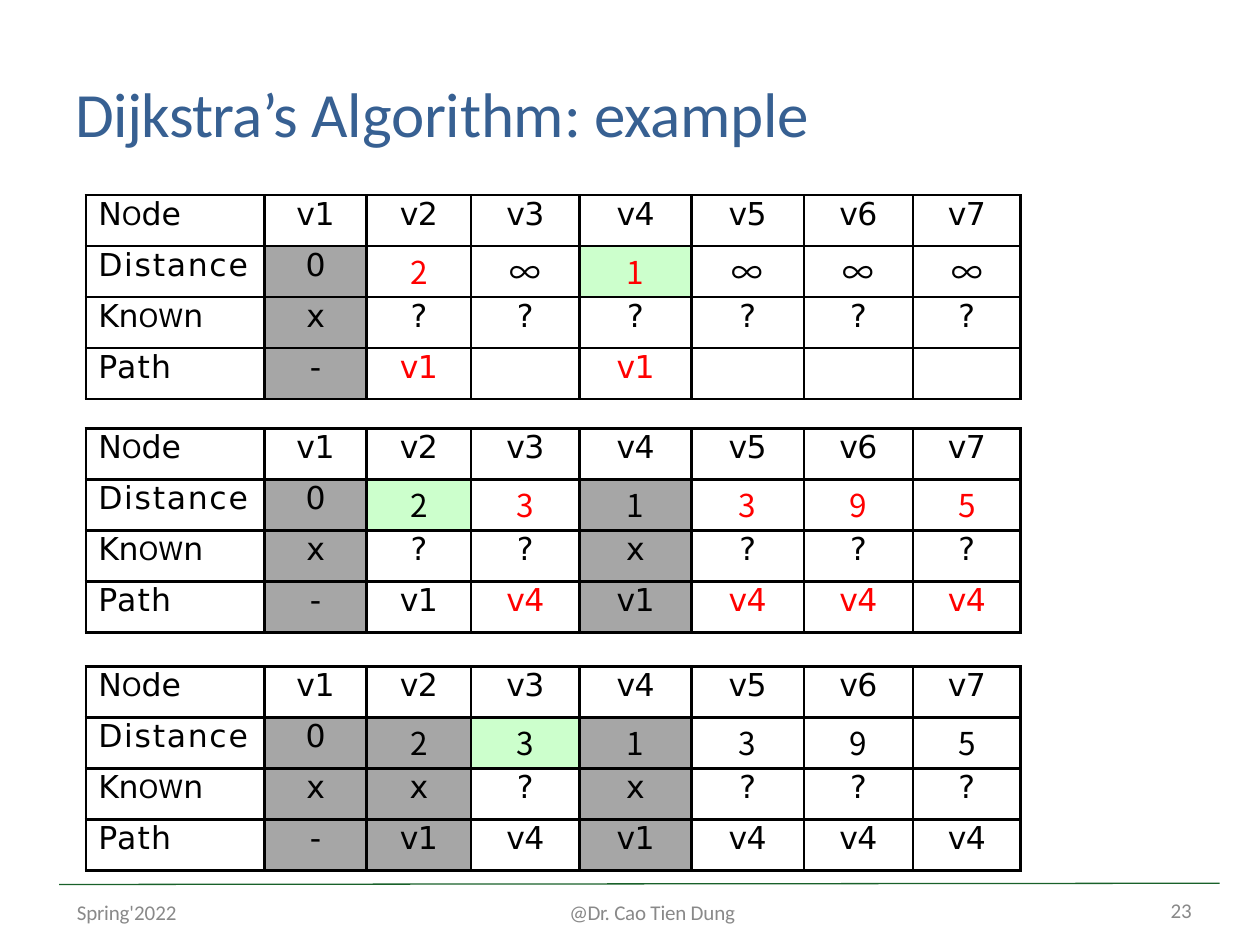
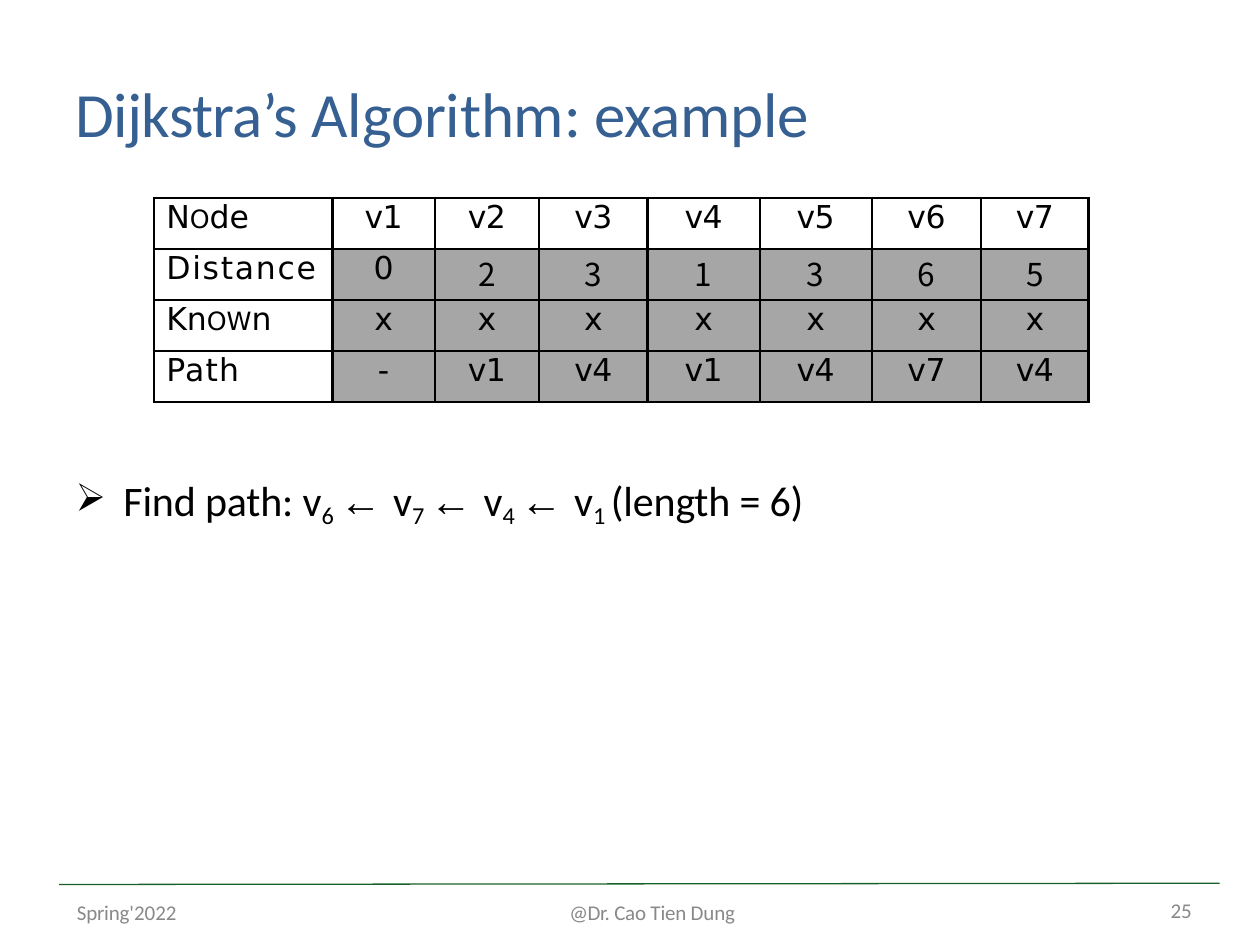
from lxml.etree import SubElement
from pptx import Presentation
from pptx.dml.color import RGBColor
from pptx.enum.shapes import MSO_CONNECTOR
from pptx.enum.text import MSO_AUTO_SIZE, PP_ALIGN
from pptx.oxml.ns import qn
from pptx.util import Inches, Pt

COLORS = {
    "title": "376092", "footer": "898989", "rule": "19612A", "text": "000000",
    "updated": "FF0000", "known": "A6A6A6", "next": "CCFFCC",
}
BODY, MONO, DIGIT = "Calibri", "DejaVu Sans", "Noto Sans CJK JP"
NODES = [f"v{i}" for i in range(1, 8)]
COL_WIDTHS = [1.42, 0.81, 0.83, 0.86, 0.89, 0.89, 0.87, 0.85]
ROW_HEIGHT = 0.405
SMALL = {"cap": "small"}
ROW_LABELS = [
    [("N", {}), ("o", SMALL), ("de", {})],
    [("Distance", {"spacing": 1})],
    [("Kn", {"spacing": -0.1}), ("ow", SMALL), ("n", {})],
    [("Path", {"spacing": 0.7})],
]


def rgb(name):
    return RGBColor.from_string(COLORS[name])


def add_text(p, text, font=BODY, size=18, color="text", spacing=0, cap=None, baseline=0):
    r = p.add_run()
    r.text = text
    r.font.name, r.font.size = font, Pt(size)
    r.font.color.rgb = rgb(color)
    rPr = r.font._element
    SubElement(rPr, qn("a:ea")).set("typeface", font)
    rPr.set("spc", str(round(spacing * 100)))
    if cap:
        rPr.set("cap", cap)
    if baseline:
        rPr.set("baseline", str(baseline * 1000))


def set_indent(p, left, first=0):
    pPr = p._p.get_or_add_pPr()
    pPr.set("marL", str(Inches(left)))
    pPr.set("indent", str(Inches(first)))
    return pPr


def set_borders(cell, width=1.5):
    tcPr = cell._tc.get_or_add_tcPr()
    for side in ("lnL", "lnR", "lnT", "lnB"):
        ln = SubElement(tcPr, qn(f"a:{side}"), w=str(Pt(width)))
        fill = SubElement(ln, qn("a:solidFill"))
        SubElement(fill, qn("a:srgbClr"), val=COLORS["text"])


class Deck:
    def __init__(self):
        self.prs = Presentation()
        self.prs.slide_width, self.prs.slide_height = Inches(10), Inches(7.5)
        self.s = None

    def slide(self, title, number):
        self.s = self.prs.slides.add_slide(self.prs.slide_layouts[6])
        self.rule(0.47, 7.02, 9.68, 7.01)
        self.text(0.59, 0.58, 8.75, 0.62, title, before=1, size=36, color="title")
        footers = [
            (9.25, 7.11, 0.25, 0.23, [(str(number), {})], 0.04),
            (0.6, 7.13, 1.11, 0.21, [("Spring'", {"spacing": -0.1}), ("2022", {})], 0.01),
            (4.51, 7.13, 1.61, 0.21, [("@Dr. ", {"spacing": -0.3}),
                                      ("Cao Tien Dung", {"spacing": -0.1})], 0.01),
        ]
        for x, y, w, h, runs, indent in footers:
            self.text(x, y, w, h, runs, indent, before=0.4, size=12, color="footer")

    def rule(self, x1, y1, x2, y2):
        line = self.s.shapes.add_connector(
            MSO_CONNECTOR.STRAIGHT, Inches(x1), Inches(y1), Inches(x2), Inches(y2))
        line.line.color.rgb = rgb("rule")
        line.line.width = Pt(0.75)
        SubElement(line._element.spPr, qn("a:effectLst"))

    def text(self, x, y, w, h, runs, indent=0.01, first=0, before=0, **style):
        """Add a one-paragraph box; each run is (text, format changes)."""
        sp = self.s.shapes.add_textbox(Inches(x), Inches(y), Inches(w), Inches(h))
        tf = sp.text_frame
        tf.word_wrap = True
        tf.auto_size = MSO_AUTO_SIZE.SHAPE_TO_FIT_TEXT
        tf.margin_left = tf.margin_right = tf.margin_bottom = 0
        tf.margin_top = Inches(0.01)
        p = tf.paragraphs[0]
        p.space_before = Pt(before)
        set_indent(p, indent, first)
        for text, changes in runs:
            add_text(p, text, **{**style, **changes})
        return p

    def bullet(self, x, y, w, h, runs, **style):
        p = self.text(x, y, w, h, runs, 0.42, -0.38, before=1, **style)
        pPr = p._p.get_or_add_pPr()
        SubElement(pPr, qn("a:buSzPct"), val="92000")
        SubElement(pPr, qn("a:buChar"), char="➢")

    def cell(self, cell, runs, label=False, before=0.6, fill=None, **style):
        set_borders(cell)
        cell.margin_left = cell.margin_right = cell.margin_bottom = 0
        cell.margin_top = Inches(0.01)
        if fill:
            cell.fill.solid()
            cell.fill.fore_color.rgb = rgb(fill)
        else:
            cell.fill.background()
        p = cell.text_frame.paragraphs[0]
        p.space_before = Pt(before)
        if label:
            set_indent(p, 0.1)
        else:
            p.alignment = PP_ALIGN.CENTER
        for text, changes in runs:
            if text:
                add_text(p, text, **{"font": MONO, **style, **changes})

    def state_table(self, x, y, distances, known, paths, updated=(), following=None):
        """Draw one step: known nodes grey, the following node green, updated nodes red."""
        rows = [NODES, distances.split(), known.split(), paths.split(",")]
        table = self.s.shapes.add_table(
            len(rows), len(COL_WIDTHS), Inches(x), Inches(y),
            Inches(sum(COL_WIDTHS)), Inches(ROW_HEIGHT * len(rows))).table
        table.first_row = table.horz_banding = False
        for col, width in zip(table.columns, COL_WIDTHS):
            col.width = Inches(width)
        for i, (label, values) in enumerate(zip(ROW_LABELS, rows)):
            table.rows[i].height = Inches(ROW_HEIGHT)
            self.cell(table.cell(i, 0), label, label=True)
            for j, (node, value) in enumerate(zip(NODES, values)):
                style = {"spacing": -0.3 if value.startswith("v") else 0}
                if i == 1 and j > 0:
                    style.update(font=DIGIT, before=1.5)
                if i in (1, 3) and node in updated:
                    style["color"] = "updated"
                if i > 0 and rows[2][j] == "x":
                    style["fill"] = "known"
                elif i == 1 and node == following:
                    style["fill"] = "next"
                self.cell(table.cell(i, j + 1), [(value, {})], **style)


def path_runs(nodes, length):
    runs = [("Find path: ", {"spacing": -0.1})]
    for i, node in enumerate(nodes):
        if i:
            runs.append(("← ", {"font": "Arial"}))
        runs += [("v", {}), (f"{node} ", {"baseline": -17})]
    return runs + [(f"(length = {length})", {"spacing": -0.1})]


def main():
    deck = Deck()
    title = [("Dijkstra’s ", {"spacing": -0.4}), ("Algorithm:", {"spacing": -0.1}),
             (" example", {"spacing": -0.2})]

    deck.slide(title, 23)
    deck.state_table(0.68, 1.55, "0 2 ∞ 1 ∞ ∞ ∞", "x ? ? ? ? ? ?", "-,v1,,v1,,,",
                     updated=("v2", "v4"), following="v4")
    deck.state_table(0.68, 3.4, "0 2 3 1 3 9 5", "x ? ? x ? ? ?", "-,v1,v4,v1,v4,v4,v4",
                     updated=("v3", "v5", "v6", "v7"), following="v2")
    deck.state_table(0.68, 5.29, "0 2 3 1 3 9 5", "x x ? x ? ? ?", "-,v1,v4,v1,v4,v4,v4",
                     following="v3")

    deck.slide(title, 25)
    deck.state_table(1.22, 1.57, "0 2 3 1 3 6 5", "x x x x x x x", "-,v1,v4,v1,v4,v7,v4")
    deck.bullet(0.56, 3.76, 8.18, 0.42, path_runs([6, 7, 4, 1], 6), size=24)

    deck.prs.save("out.pptx")


if __name__ == "__main__":
    main()
